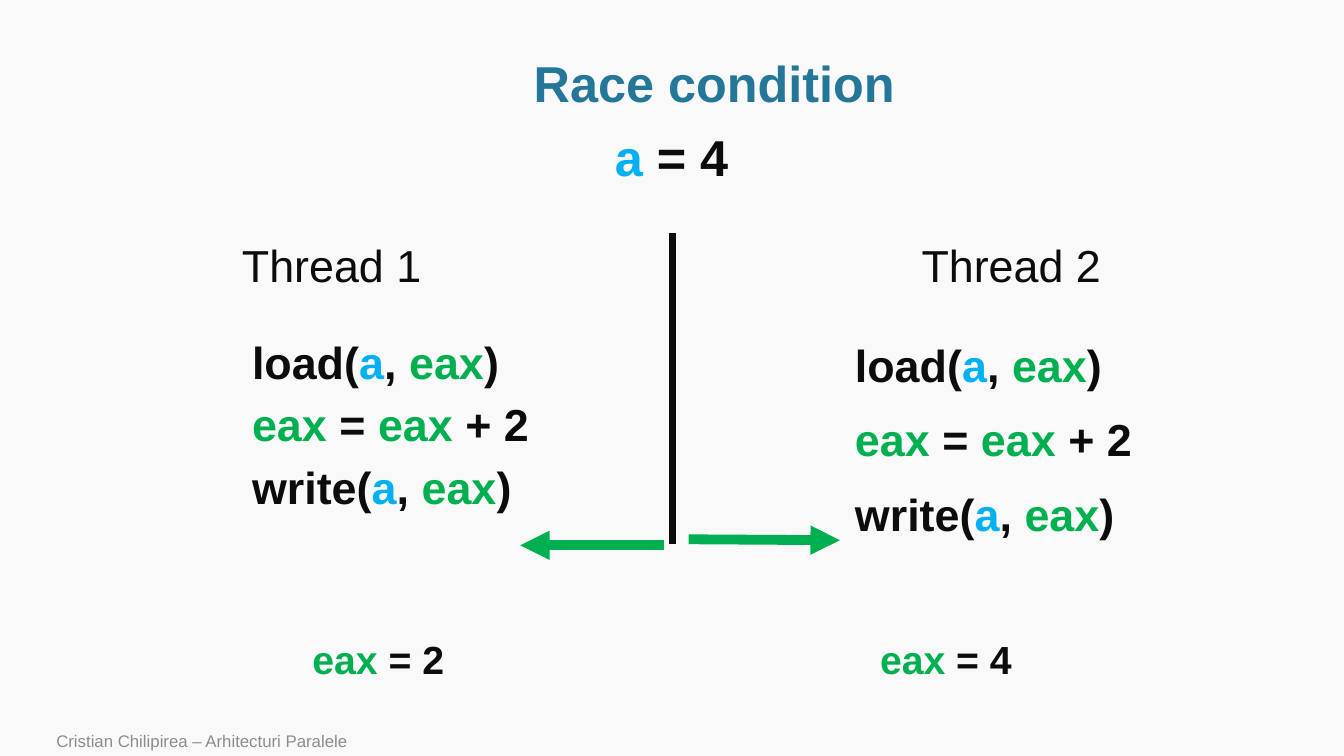
from dataclasses import dataclass

import pptx
import pptx.dml.color
import pptx.enum.dml
import pptx.enum.shapes
import pptx.enum.text
import pptx.oxml
import pptx.oxml.ns
import pptx.util
from pptx.util import Inches

Align = pptx.enum.text.PP_ALIGN
Anchor = pptx.enum.text.MSO_ANCHOR
AutoSize = pptx.enum.text.MSO_AUTO_SIZE

BACKGROUND = "F9F9F9"
INK = "0C0C0C"
TEAL = "247798"
GREEN = "00B050"
GREY = "8C8C8C"
VARIABLE_COLOURS = {"a": "00B0F0", "eax": GREEN}

# "|" separates the differently coloured pieces of a line.
INCREMENT_CODE = ["load(|a|, |eax|)", "eax| = |eax| + 2", "write(|a|, |eax|)"]


@dataclass
class Thread:
    name: str
    heading_left: float
    register: str
    register_left: float


@dataclass
class Line:
    start: tuple[float, float]
    end: tuple[float, float]
    colour: str
    width: float
    arrow: bool = True


THREADS = [
    Thread("Thread 1", 2.4, "eax| = 2", 3.0),
    Thread("Thread 2", 9.14, "eax| = 4", 8.63),
]
LINES = [
    Line((6.67, 2.31), (6.67, 5.4), INK, 5, arrow=False),
    Line((6.59, 5.41), (5.16, 5.41), GREEN, 7),
    Line((6.83, 5.35), (8.33, 5.36), GREEN, 7),
]


def rgb(colour: str) -> pptx.dml.color.RGBColor:
    return pptx.dml.color.RGBColor.from_string(colour)


def place(shape, left: float, top: float, width: float, height: float):
    shape.left, shape.top = Inches(left), Inches(top)
    shape.width, shape.height = Inches(width), Inches(height)
    return shape


def write(shape, *lines: str, size: float, colour: str = INK, bold: bool = False,
          align=Align.LEFT, anchor=Anchor.TOP, side_inset: float = 0.1,
          line_spacing: float = 1.0, gap: float = 0, wrap: bool = True,
          auto_size=AutoSize.NONE) -> None:
    """Fill a shape with lines, giving variable names their own colours."""
    frame = shape.text_frame
    frame.word_wrap = wrap
    frame.auto_size = auto_size
    frame.vertical_anchor = anchor
    frame.margin_left = frame.margin_right = Inches(side_inset)
    frame.margin_top = frame.margin_bottom = Inches(0.05)
    for number, line in enumerate(lines):
        paragraph = frame.add_paragraph() if number else frame.paragraphs[0]
        paragraph.alignment = align
        paragraph.line_spacing = line_spacing
        paragraph.space_before = pptx.util.Pt(gap if number else 0)
        for piece in line.split("|"):
            run = paragraph.add_run()
            run.text = piece
            run.font.name = "Arial"
            run.font.size = pptx.util.Pt(size)
            run.font.bold = bold
            run.font.color.rgb = rgb(VARIABLE_COLOURS.get(piece, colour))


def add_text(slide, left: float, top: float, width: float, height: float,
             *lines: str, **text_format) -> None:
    box = slide.shapes.add_textbox(0, 0, 0, 0)
    write(place(box, left, top, width, height), *lines, **text_format)


def remove_bullets(shape) -> None:
    for paragraph in shape.text_frame.paragraphs:
        properties = paragraph._p.get_or_add_pPr()
        properties.set("marL", "0")
        properties.set("indent", "0")
        properties.append(pptx.oxml.parse_xml(
            f"<a:buNone {pptx.oxml.ns.nsdecls('a')}/>"))


def draw_line(slide, line: Line) -> None:
    connector = slide.shapes.add_connector(
        pptx.enum.shapes.MSO_CONNECTOR.STRAIGHT,
        *map(Inches, line.start + line.end))
    connector.line.color.rgb = rgb(line.colour)
    connector.line.width = pptx.util.Pt(line.width)
    namespace = pptx.oxml.ns.nsdecls("a")
    if line.arrow:
        connector.line._get_or_add_ln().append(
            pptx.oxml.parse_xml(f'<a:tailEnd {namespace} type="triangle"/>'))
    connector._element.spPr.append(
        pptx.oxml.parse_xml(f"<a:effectLst {namespace}/>"))


def main() -> None:
    deck = pptx.Presentation()
    deck.slide_width, deck.slide_height = Inches(13.33), Inches(7.5)
    slide = deck.slides.add_slide(deck.slide_layouts[1])
    slide.background.fill.solid()
    slide.background.fill.fore_color.rgb = rgb(BACKGROUND)

    title, first_code = slide.placeholders
    write(place(title, 1.14, 0.51, 11.89, 0.69), "Race condition", size=36,
          colour=TEAL, bold=True, align=Align.CENTER, anchor=Anchor.MIDDLE,
          line_spacing=0.9)
    write(place(first_code, 2.4, 3.33, 3.18, 2.46), *INCREMENT_CODE, size=32,
          bold=True, line_spacing=0.9, gap=10)
    remove_bullets(first_code)

    add_text(slide, 8.48, 3.3, 3.18, 2.46, *INCREMENT_CODE, size=32, bold=True,
             side_inset=0, gap=14.7)
    add_text(slide, 6, 1.2, 1.34, 0.71, "a| = 4", size=36, bold=True,
             wrap=False, auto_size=AutoSize.SHAPE_TO_FIT_TEXT)
    for thread in THREADS:
        add_text(slide, thread.heading_left, 2.31, 2.59, 0.66, thread.name,
                 size=32, side_inset=0)
        add_text(slide, thread.register_left, 6.25, 2.1, 0.57, thread.register,
                 size=28, bold=True, auto_size=AutoSize.SHAPE_TO_FIT_TEXT)
    for line in LINES:
        draw_line(slide, line)
    add_text(slide, 0.46, 7.22, 9.82, 0.28,
             "Cristian Chilipirea – Arhitecturi Paralele", size=12, colour=GREY,
             anchor=Anchor.BOTTOM)
    deck.save("out.pptx")


if __name__ == "__main__":
    main()
